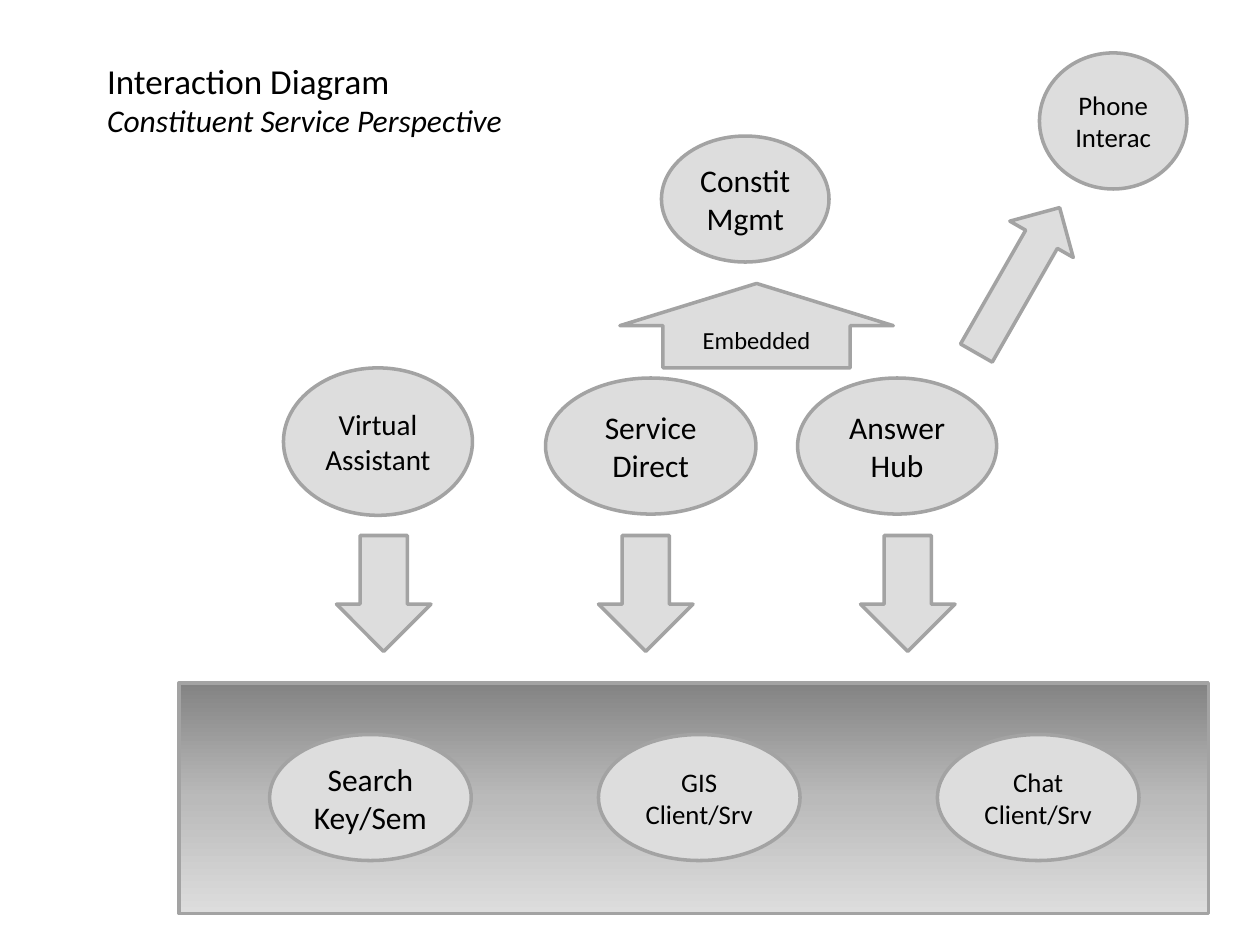
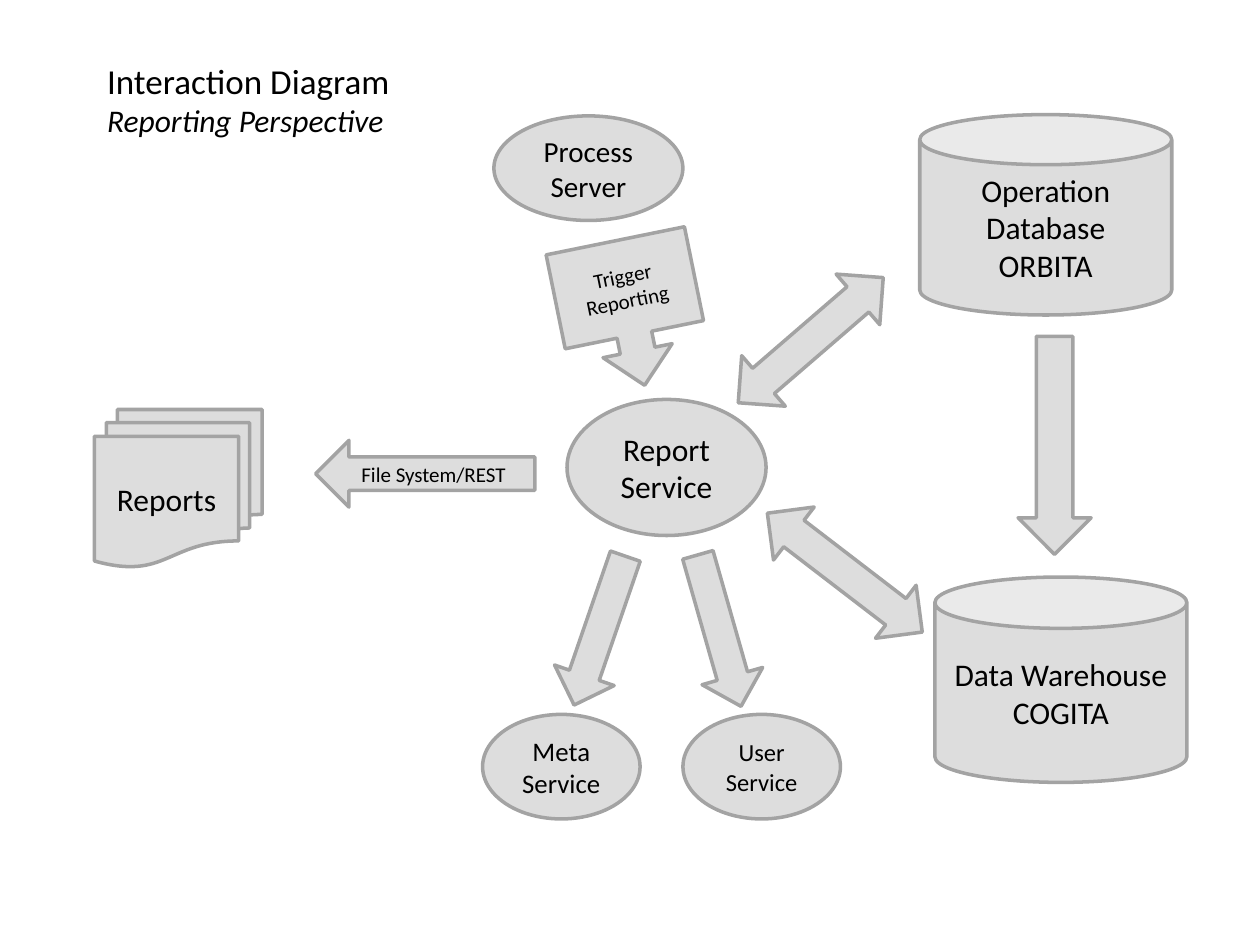
from copy import deepcopy

from pptx import Presentation
from pptx.dml.color import RGBColor
from pptx.enum.shapes import MSO_SHAPE
from pptx.enum.text import MSO_ANCHOR, MSO_AUTO_SIZE, PP_ALIGN
from pptx.oxml.ns import qn
from pptx.util import Inches, Pt

ELLIPSE = MSO_SHAPE.OVAL
CAN = MSO_SHAPE.CAN
UP = MSO_SHAPE.UP_ARROW
DOWN = MSO_SHAPE.DOWN_ARROW
UP_DOWN = MSO_SHAPE.UP_DOWN_ARROW
CALLOUT = MSO_SHAPE.DOWN_ARROW_CALLOUT
REPORTS = MSO_SHAPE.FLOWCHART_MULTIDOCUMENT
RECTANGLE = MSO_SHAPE.RECTANGLE

FONT = "Calibri"
COLORS = {
    "text": "000000",
    "fill": "DDDDDD",
    "line": "A3A3A3",
    "band_top": "838383",
    "band_middle": "BABABA",
}
TITLE = "Interaction Diagram"
TITLE_AREA = (0.75, 0.42, 4.5, 0.74)
TITLE_ONLY = 5

# Nodes: shape, (left, top, width, height), lines of text, text size
# Arrows: shape, (left, top, width, height), rotation, format values
BAND_AREA = (1.42, 5.42, 8.17, 1.83)
BAND_STOPS = [(0, "band_top"), (0.5, "band_middle"), (1, "fill")]

SERVICE_NODES = [
    (ELLIPSE, (4.75, 5.83, 1.6, 1), ["GIS Client/Srv"], 15.3),
    (ELLIPSE, (2.14, 5.83, 1.6, 1), ["Search", "Key/Sem"], 18),
    (ELLIPSE, (7.44, 5.83, 1.6, 1), ["Chat Client/Srv"], 15.3),
    (ELLIPSE, (4.33, 3, 1.67, 1.08), ["Service Direct"], 18),
    (ELLIPSE, (6.33, 3, 1.58, 1.08), ["Answer Hub"], 18),
    (ELLIPSE, (2.25, 2.92, 1.5, 1.17), ["Virtual Assistant"], 16.6),
    (ELLIPSE, (8.25, 0.42, 1.17, 1.08), ["Phone Interac"], 15.3),
    (ELLIPSE, (5.25, 1.08, 1.33, 1), ["Constit Mgmt"], 18),
]
SERVICE_ARROWS = [
    (UP, (7.79, 1.56, 0.58, 1.33), 29.8, {}),
    (UP, (4.92, 2.25, 2.17, 0.67), 0,
     {"lines": ["Embedded"], "size": 14, "shaft": 0.685}),
] + [
    (DOWN, (2.67 + 2.08 * column, 4.25, 0.75, 0.92), 0, {})
    for column in range(3)
]

REPORTING_NODES = [
    (ELLIPSE, (4.5, 3.17, 1.58, 1.08), ["Report Service"], 18),
    (ELLIPSE, (5.42, 5.67, 1.25, 0.83), ["User Service"], 14),
    (ELLIPSE, (3.83, 5.67, 1.25, 0.83), ["Meta Service"], 15.3),
    (ELLIPSE, (3.92, 0.92, 1.5, 0.83), ["Process", "Server"], 16.6),
    (CAN, (7.3, 0.91, 2, 1.59), ["Operation Database", "ORBITA"], 18),
    (CAN, (7.42, 4.58, 2, 1.63), ["Data Warehouse", "COGITA"], 18),
    (REPORTS, (0.75, 3.25, 1.33, 1.25), ["Reports"], 18),
]
REPORTING_ARROWS = [
    (DOWN, (8.08, 2.67, 0.58, 1.73), 0, {}),
    (UP_DOWN, (6.17, 1.94, 0.53, 1.52), 49.2, {"shaft": 0.586}),
    (UP_DOWN, (6.44, 3.77, 0.53, 1.55), 127.5, {"shaft": 0.586}),
    (CALLOUT, (4.44, 1.9, 1.12, 1.17), 348.5,
     {"lines": ["Trigger Reporting"], "size": 12}),
    (DOWN, (3.11, 2.89, 0.53, 1.74), 90,
     {"lines": ["File System/REST"], "size": 12, "direction": "vert270"}),
    (DOWN, (4.51, 4.38, 0.5, 1.25), 19, {}),
    (DOWN, (5.46, 4.38, 0.5, 1.25), 344.1, {}),
]


def color(name):
    return RGBColor.from_string(COLORS[name])


def inches(area):
    return [Inches(length) for length in area]


def write_lines(frame, lines, align):
    """Write one paragraph for each (text, size, italic) in lines."""
    for index, (text, size, italic) in enumerate(lines):
        para = frame.paragraphs[0] if index == 0 else frame.add_paragraph()
        para.alignment = align
        span = para.add_run()
        span.text = text
        span.font.color.rgb = color("text")
        formats = {"name": FONT, "size": Pt(size), "italic": italic}
        for attribute, value in formats.items():
            setattr(span.font, attribute, value)


def add_title(page, subtitle):
    title = page.shapes.title
    title.left, title.top, title.width, title.height = inches(TITLE_AREA)
    frame = title.text_frame
    frame.word_wrap = True
    frame.auto_size = MSO_AUTO_SIZE.SHAPE_TO_FIT_TEXT
    frame.vertical_anchor = MSO_ANCHOR.TOP
    lines = [(TITLE, 20, False), (subtitle, 18, True)]
    write_lines(frame, lines, PP_ALIGN.LEFT)


def add_outlined(page, kind, area):
    shape = page.shapes.add_shape(kind, *inches(area))
    shape.shadow.inherit = False
    shape.fill.solid()
    shape.fill.fore_color.rgb = color("fill")
    shape.line.color.rgb = color("line")
    shape.line.width = Pt(2)
    return shape


def label(shape, lines, size):
    frame = shape.text_frame
    frame.word_wrap = True
    frame.vertical_anchor = MSO_ANCHOR.MIDDLE
    write_lines(frame, [(line, size, False) for line in lines], PP_ALIGN.CENTER)


def add_arrow(page, kind, area, rotation, formats):
    arrow = add_outlined(page, kind, area)
    arrow.rotation = rotation
    if "shaft" in formats:
        arrow.adjustments[0] = formats["shaft"]
        arrow.adjustments[1] = 0.5
    if "lines" in formats:
        label(arrow, formats["lines"], formats["size"])
    if "direction" in formats:
        body = arrow.text_frame._txBody.find(qn("a:bodyPr"))
        body.set("vert", formats["direction"])


def add_band(page):
    """Add the shared-services band, shaded from dark at the top to light."""
    band = add_outlined(page, RECTANGLE, BAND_AREA)
    band.fill.gradient()
    band.fill.gradient_angle = 270
    stop_list = next(band._element.spPr.iter(qn("a:gsLst")))
    stop_list.insert(1, deepcopy(stop_list[0]))
    for stop, (position, name) in zip(band.fill.gradient_stops, BAND_STOPS):
        stop.position = position
        stop.color.rgb = color(name)


def add_diagram(deck, subtitle, nodes, arrows, has_band=False):
    page = deck.slides.add_slide(deck.slide_layouts[TITLE_ONLY])
    if has_band:
        add_band(page)
    add_title(page, subtitle)
    for kind, area, lines, size in nodes:
        label(add_outlined(page, kind, area), lines, size)
    for arrow in arrows:
        add_arrow(page, *arrow)


def main():
    deck = Presentation()
    deck.slide_width, deck.slide_height = Inches(10), Inches(7.5)
    add_diagram(deck, "Constituent Service Perspective",
                SERVICE_NODES, SERVICE_ARROWS, has_band=True)
    add_diagram(deck, "Reporting Perspective",
                REPORTING_NODES, REPORTING_ARROWS)
    deck.save("out.pptx")


if __name__ == "__main__":
    main()
